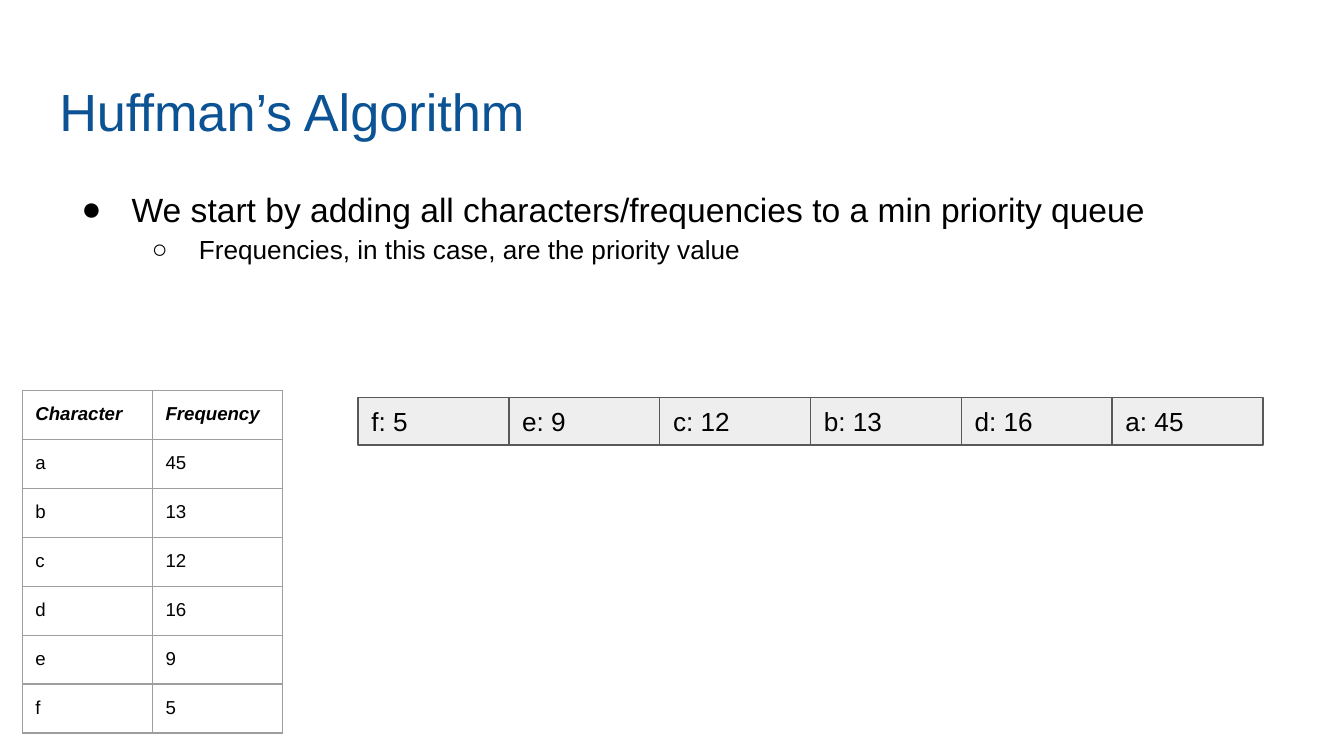
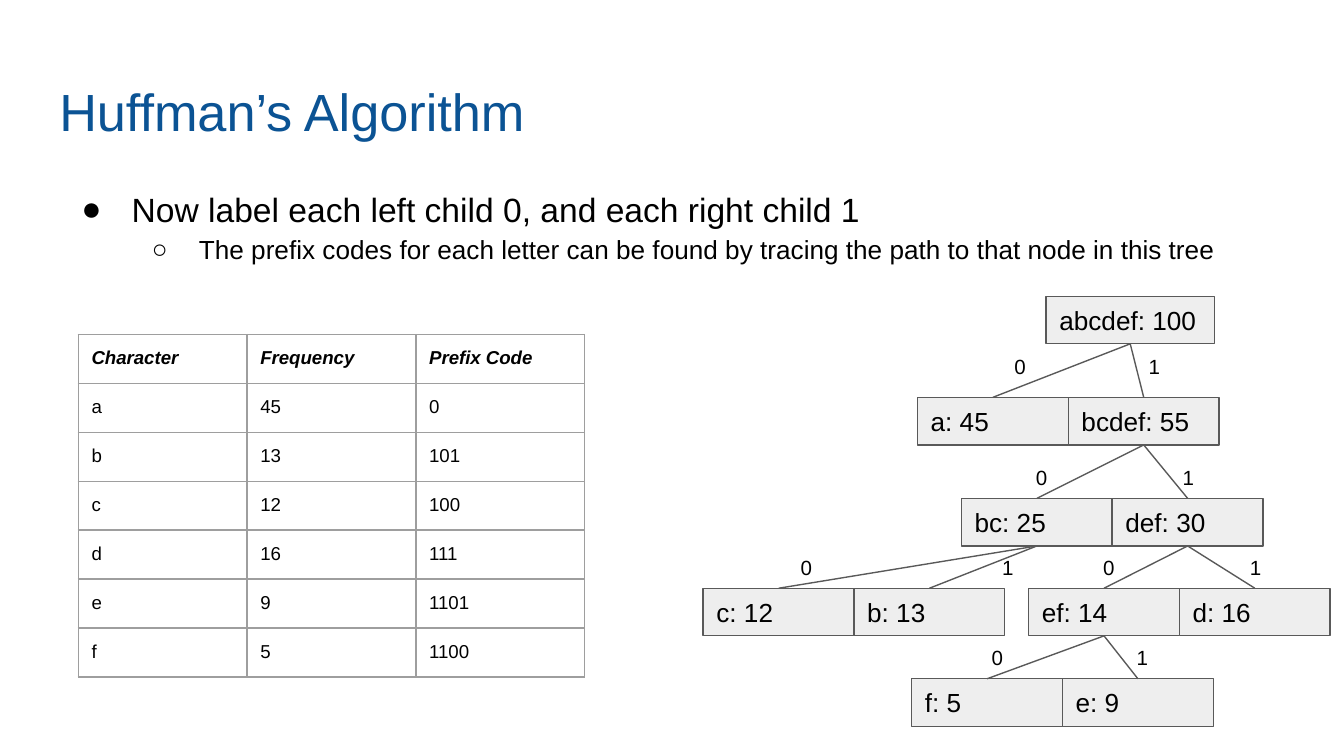
from lxml.etree import SubElement
from pptx import Presentation
from pptx.dml.color import RGBColor
from pptx.enum.shapes import MSO_CONNECTOR, MSO_SHAPE
from pptx.enum.text import MSO_ANCHOR, MSO_AUTO_SIZE, PP_ALIGN
from pptx.oxml.ns import qn
from pptx.util import Cm, Pt

COLORS = {
    "title": "0B5394",
    "text": "000000",
    "node": "EEEEEE",
    "edge": "595959",
    "grid": "9E9E9E",
}
FORMATS = {
    "title": {"size": Pt(28)},
    "point": {"size": Pt(18)},
    "subpoint": {"size": Pt(14)},
    "node": {"size": Pt(14)},
    "label": {"size": Pt(11)},
    "header": {"size": Pt(10), "bold": True, "italic": True},
    "cell": {"size": Pt(10), "bold": False, "italic": False},
}
# style: bullet, left margin, hanging indent
BULLETS = {
    "point": ("●", 1.27, -0.95),
    "subpoint": ("○", 2.54, -0.89),
}
FRAME = {
    "margin_left": Cm(0.25),
    "margin_right": Cm(0.25),
    "margin_top": Cm(0.25),
    "margin_bottom": Cm(0.25),
    "word_wrap": True,
}
LINE_WIDTH = Pt(0.75)
NODE_WIDTH, NODE_HEIGHT = 2.85, 0.9
ROOT_WIDTH = 3.18
ROW_HEIGHT = 0.9
BOTTOM, TOP = 2, 0  # connection sites of a rectangle

FREQUENCIES = {"a": 45, "b": 13, "c": 12, "d": 16, "e": 9, "f": 5}
PREFIX_CODES = {"a": "0", "b": "101", "c": "100",
                "d": "111", "e": "1101", "f": "1100"}

# parent, children, left and top of the pair, lefts and top of the 0 and 1
SPLITS = [
    ("abcdef", ("a", "bcdef"), 17.34, 7.51, (18.92, 21.46), 6.45),
    ("bcdef", ("bc", "def"), 18.17, 9.42, (19.33, 22.1), 8.56),
    ("bc", ("c", "b"), 13.29, 11.12, (14.88, 18.69), 10.26),
    ("def", ("ef", "d"), 19.44, 11.12, (20.6, 23.37), 10.26),
    ("ef", ("f", "e"), 17.23, 12.83, (18.49, 21.23), 11.96),
]


def set_attributes(target, values):
    for name, value in values.items():
        setattr(target, name, value)


def node_text(letters):
    return f"{letters}: {sum(FREQUENCIES[letter] for letter in letters)}"


class Deck:
    def __init__(self):
        self.presentation = Presentation()
        self.presentation.slide_width = Cm(25.4)
        self.presentation.slide_height = Cm(14.29)
        self.slide = None

    def color(self, name):
        return RGBColor.from_string(COLORS[name])

    def add_text(self, paragraph, text, style, color="text"):
        run = paragraph.add_run()
        run.text = text
        set_attributes(run.font, {"name": "Arial", **FORMATS[style]})
        run.font.color.rgb = self.color(color)

    def add_slide(self, title):
        layout = self.presentation.slide_layouts[5]
        self.slide = self.presentation.slides.add_slide(layout)
        heading = self.slide.shapes.title
        set_attributes(heading, {"left": Cm(0.87), "top": Cm(1.24),
                                 "width": Cm(23.67), "height": Cm(1.6)})
        frame = heading.text_frame
        set_attributes(frame, {**FRAME, "auto_size": MSO_AUTO_SIZE.NONE,
                               "vertical_anchor": MSO_ANCHOR.TOP})
        frame.paragraphs[0].alignment = PP_ALIGN.LEFT
        self.add_text(frame.paragraphs[0], title, "title", "title")

    def add_text_frame(self, left, top, width, height):
        box = self.slide.shapes.add_textbox(
            Cm(left), Cm(top), Cm(width), Cm(height))
        set_attributes(box.text_frame, FRAME)
        return box.text_frame

    def add_points(self, height, point, subpoint):
        frame = self.add_text_frame(0.97, 3.2, 23.57, height)
        paragraphs = (frame.paragraphs[0], frame.add_paragraph())
        for level, (paragraph, text, style) in enumerate(
                zip(paragraphs, (point, subpoint), BULLETS)):
            self.add_bullet(paragraph, *BULLETS[style])
            set_attributes(paragraph, {"level": level, "line_spacing": 1.15})
            self.add_text(paragraph, text, style)

    def add_bullet(self, paragraph, bullet, margin, indent):
        properties = paragraph._p.get_or_add_pPr()
        properties.set("marL", str(Cm(margin)))
        properties.set("indent", str(Cm(indent)))
        bullet_color = SubElement(properties, qn("a:buClr"))
        SubElement(bullet_color, qn("a:srgbClr"), val=COLORS["text"])
        SubElement(properties, qn("a:buFont"), typeface="Arial")
        SubElement(properties, qn("a:buChar"), char=bullet)

    def add_table(self, left, top, column_width, rows):
        columns = len(rows[0])
        table = self.slide.shapes.add_table(
            len(rows), columns, Cm(left), Cm(top),
            Cm(column_width * columns), Cm(ROW_HEIGHT * len(rows))).table
        set_attributes(table, {"first_row": False, "horz_banding": False})
        for row_index, row in enumerate(rows):
            for column_index, text in enumerate(row):
                cell = table.cell(row_index, column_index)
                set_attributes(cell, {name: value for name, value in FRAME.items()
                                      if name.startswith("margin")})
                self.add_borders(cell)
                cell.fill.background()
                self.add_text(cell.text_frame.paragraphs[0], str(text),
                              "cell" if row_index else "header")

    def add_borders(self, cell):
        properties = cell._tc.get_or_add_tcPr()
        for side in ("lnL", "lnR", "lnT", "lnB"):
            border = SubElement(properties, qn(f"a:{side}"), w=str(LINE_WIDTH))
            fill = SubElement(border, qn("a:solidFill"))
            SubElement(fill, qn("a:srgbClr"), val=COLORS["grid"])

    def add_node(self, letters, left, top, width=NODE_WIDTH):
        node = self.slide.shapes.add_shape(
            MSO_SHAPE.RECTANGLE, Cm(left), Cm(top), Cm(width), Cm(NODE_HEIGHT))
        node.shadow.inherit = False
        node.fill.solid()
        node.fill.fore_color.rgb = self.color("node")
        self.format_line(node.line)
        set_attributes(node.text_frame,
                       {**FRAME, "vertical_anchor": MSO_ANCHOR.MIDDLE})
        paragraph = node.text_frame.paragraphs[0]
        paragraph.alignment = PP_ALIGN.LEFT
        self.add_text(paragraph, node_text(letters), "node")
        return node

    def format_line(self, line):
        line.color.rgb = self.color("edge")
        line.width = LINE_WIDTH

    def add_edge(self, parent, child):
        edge = self.slide.shapes.add_connector(MSO_CONNECTOR.STRAIGHT, 0, 0, 0, 0)
        edge.begin_connect(parent, BOTTOM)
        edge.end_connect(child, TOP)
        self.format_line(edge.line)
        SubElement(edge._element.spPr, qn("a:effectLst"))

    def add_label(self, text, left, top):
        frame = self.add_text_frame(left, top, 0.84, 1.02)
        self.add_text(frame.paragraphs[0], text, "label")


def build_queue_slide(deck):
    deck.add_slide("Huffman’s Algorithm")
    deck.add_points(
        7.14,
        "We start by adding all characters/frequencies to a min priority queue",
        "Frequencies, in this case, are the priority value")
    deck.add_table(0.42, 7.38, 2.46,
                   [("Character", "Frequency"), *FREQUENCIES.items()])
    for position, letter in enumerate(sorted(FREQUENCIES, key=FREQUENCIES.get)):
        deck.add_node(letter, 6.77 + position * NODE_WIDTH, 7.51)


def build_tree_slide(deck):
    deck.add_slide("Huffman’s Algorithm")
    deck.add_points(
        3.38,
        "Now label each left child 0, and each right child 1",
        "The prefix codes for each letter can be found by tracing the path "
        "to that node in this tree")
    deck.add_table(1.48, 6.32, 3.19, [
        ("Character", "Frequency", "Prefix Code"),
        *((letter, frequency, PREFIX_CODES[letter])
          for letter, frequency in FREQUENCIES.items())])
    nodes = {"abcdef": deck.add_node("abcdef", 19.77, 5.6, ROOT_WIDTH)}
    for parent, children, left, top, label_lefts, label_top in SPLITS:
        for bit, (child, label_left) in enumerate(zip(children, label_lefts)):
            nodes[child] = deck.add_node(child, left + bit * NODE_WIDTH, top)
            deck.add_edge(nodes[parent], nodes[child])
            deck.add_label(str(bit), label_left, label_top)


def main():
    deck = Deck()
    build_queue_slide(deck)
    build_tree_slide(deck)
    deck.presentation.save("out.pptx")


if __name__ == "__main__":
    main()
